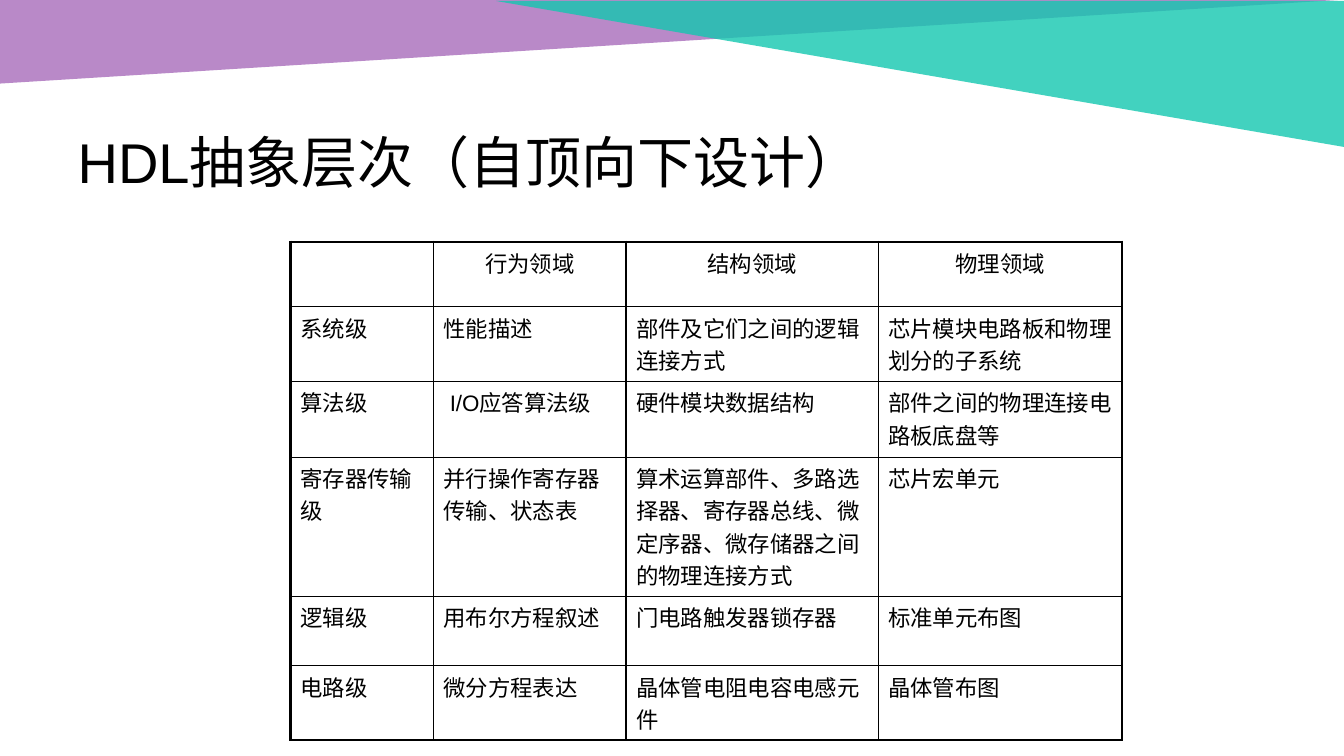
from lxml.etree import SubElement
from pptx import Presentation
from pptx.dml.color import RGBColor
from pptx.enum.shapes import MSO_SHAPE
from pptx.enum.text import MSO_ANCHOR, MSO_AUTO_SIZE, PP_ALIGN
from pptx.oxml.ns import qn
from pptx.util import Inches, Pt

BLACK = RGBColor(0x00, 0x00, 0x00)
PURPLE = RGBColor(0xA8, 0x6C, 0xBB)
TEAL = RGBColor(0x13, 0xC7, 0xAF)
LATIN, CJK = "Arial", "Noto Sans CJK SC"
OUTER, COLUMN_LINE, ROW_LINE = 2.25, 1, 0.25


def add_text(p, text, size=16, font=CJK):
    r = p.add_run()
    r.text = text
    r.font.size = Pt(size)
    r.font.name = font
    r.font.color.rgb = BLACK
    SubElement(r.font._element, qn("a:ea")).set("typeface", CJK)


def add_border(cell, side, width):
    ln = SubElement(cell._tc.get_or_add_tcPr(), qn(f"a:ln{side}"), w=str(Pt(width)))
    fill = SubElement(ln, qn("a:solidFill"))
    SubElement(fill, qn("a:srgbClr"), val=str(BLACK))


prs = Presentation()
prs.slide_width, prs.slide_height = Inches(13.33), Inches(7.5)
s = prs.slides.add_slide(prs.slide_layouts[5])

# Translucent triangles along the top edge
triangles = [
    (0, 0, 13.28, 0.83, PURPLE, ["flipV"]),
    (4.92, 0.01, 8.42, 1.45, TEAL, ["flipH", "flipV"]),
]
for x, y, w, h, color, flips in triangles:
    sp = s.shapes.add_shape(MSO_SHAPE.RIGHT_TRIANGLE,
                            Inches(x), Inches(y), Inches(w), Inches(h))
    sp.shadow.inherit = False
    sp.fill.solid()
    sp.fill.fore_color.rgb = color
    sp.line.fill.background()
    clr = sp._element.spPr.find(f"{qn('a:solidFill')}/{qn('a:srgbClr')}")
    SubElement(clr, qn("a:alpha"), val="80000")
    for flip in flips:
        sp._element.spPr.find(qn("a:xfrm")).set(flip, "1")

# Title, in front of the triangles
title = s.shapes.title
s.shapes._spTree.append(title._element)
title.left, title.top = Inches(0.67), Inches(1.15)
title.width, title.height = Inches(12), Inches(0.83)
tf = title.text_frame
tf.auto_size = MSO_AUTO_SIZE.NONE
tf.vertical_anchor = MSO_ANCHOR.BOTTOM
tf.paragraphs[0].alignment = PP_ALIGN.JUSTIFY
add_text(tf.paragraphs[0], "HDL抽象层次（自顶向下设计）", size=40, font=LATIN)

# Table of abstraction levels against design domains
rows = [
    ["", "行为领域", "结构领域", "物理领域"],
    ["系统级", "性能描述", "部件及它们之间的逻辑连接方式", "芯片模块电路板和物理划分的子系统"],
    ["算法级", " I/O|应答算法级", "硬件模块数据结构", "部件之间的物理连接电路板底盘等"],
    ["寄存器传输级", "并行操作寄存器传输、状态表",
     "算术运算部件、多路选择器、寄存器总线、微定序器、微存储器之间的物理连接方式", "芯片宏单元"],
    ["逻辑级", "用布尔方程叙述", "门电路触发器锁存器", "标准单元布图"],
    ["电路级", "微分方程表达", "晶体管电阻电容电感元件", "晶体管布图"],
]
col_widths = [1.42, 1.91, 2.5, 2.42]
row_heights = [0.64, 0.69, 0.75, 1.17, 0.69, 0.64]
last_row, last_col = len(rows) - 1, len(col_widths) - 1

table = s.shapes.add_table(len(rows), len(col_widths), Inches(2.88), Inches(2.4),
                           Inches(sum(col_widths)), Inches(sum(row_heights))).table
table.first_row = table.horz_banding = False
for column, width in zip(table.columns, col_widths):
    column.width = Inches(width)
for row, height in zip(table.rows, row_heights):
    row.height = Inches(height)

for i, texts in enumerate(rows):
    for j, text in enumerate(texts):
        cell = table.cell(i, j)
        p = cell.text_frame.paragraphs[0]
        p.alignment = PP_ALIGN.CENTER if i == 0 else PP_ALIGN.LEFT
        if text:
            # A bar separates a Latin part from the Chinese part
            *latin, chinese = text.split("|")
            for part in latin:
                add_text(p, part, font=LATIN)
            add_text(p, chinese)
        # Borders come before the fill in the cell properties
        add_border(cell, "L", OUTER if j == 0 else COLUMN_LINE)
        add_border(cell, "R", OUTER if j == last_col else COLUMN_LINE)
        add_border(cell, "T", OUTER if i == 0 else ROW_LINE)
        add_border(cell, "B", OUTER if i == last_row else ROW_LINE)
        cell.fill.background()

prs.save("out.pptx")
